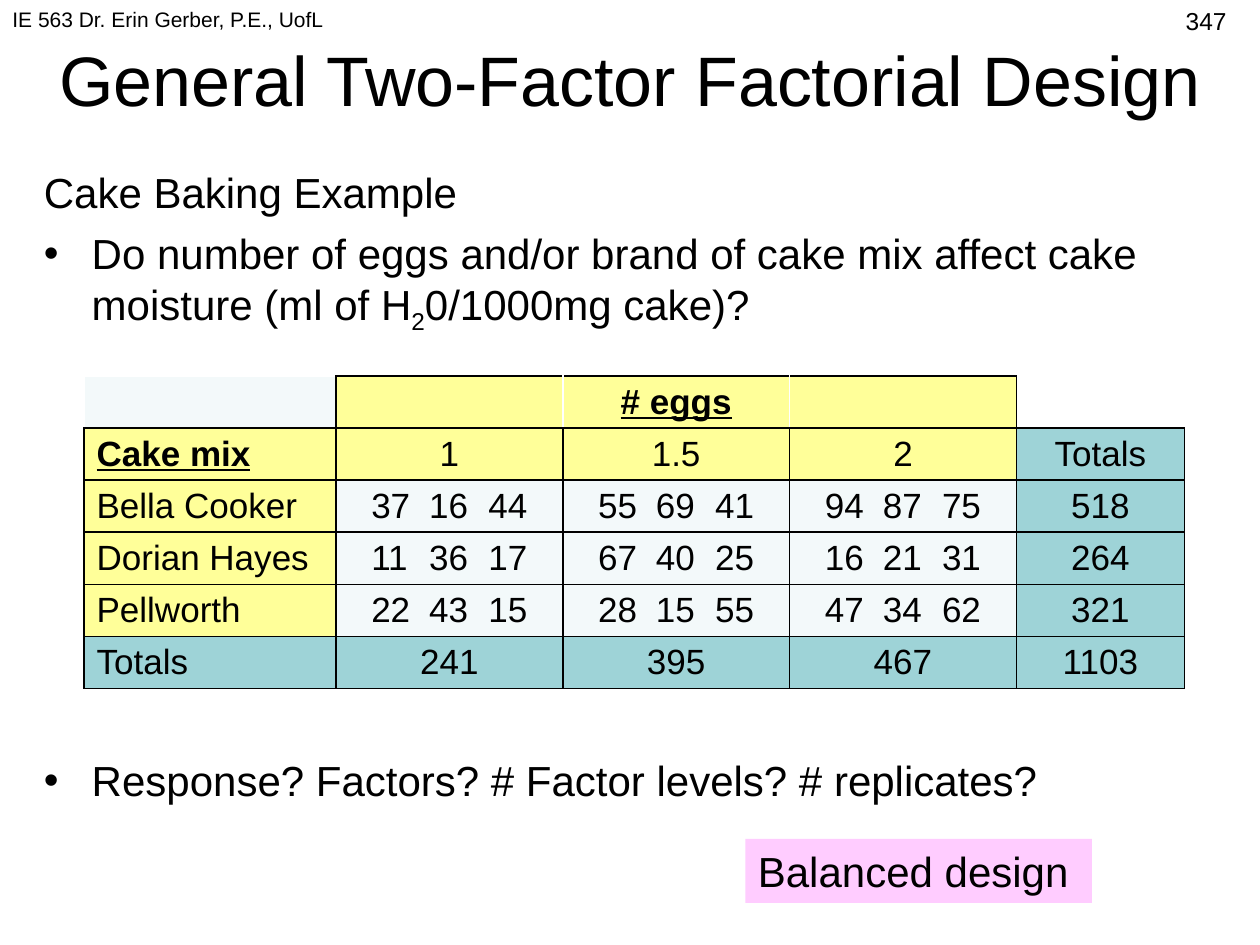
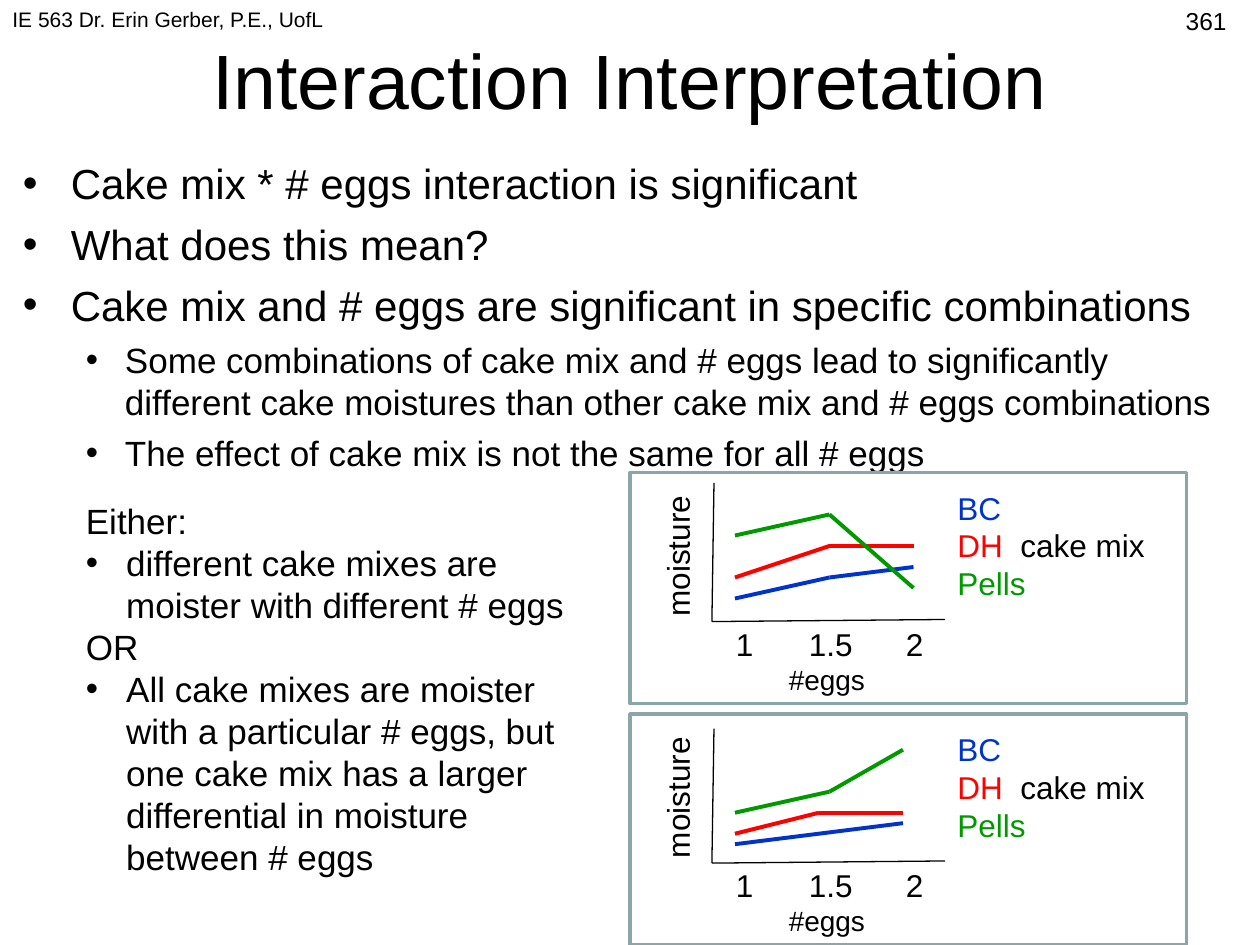
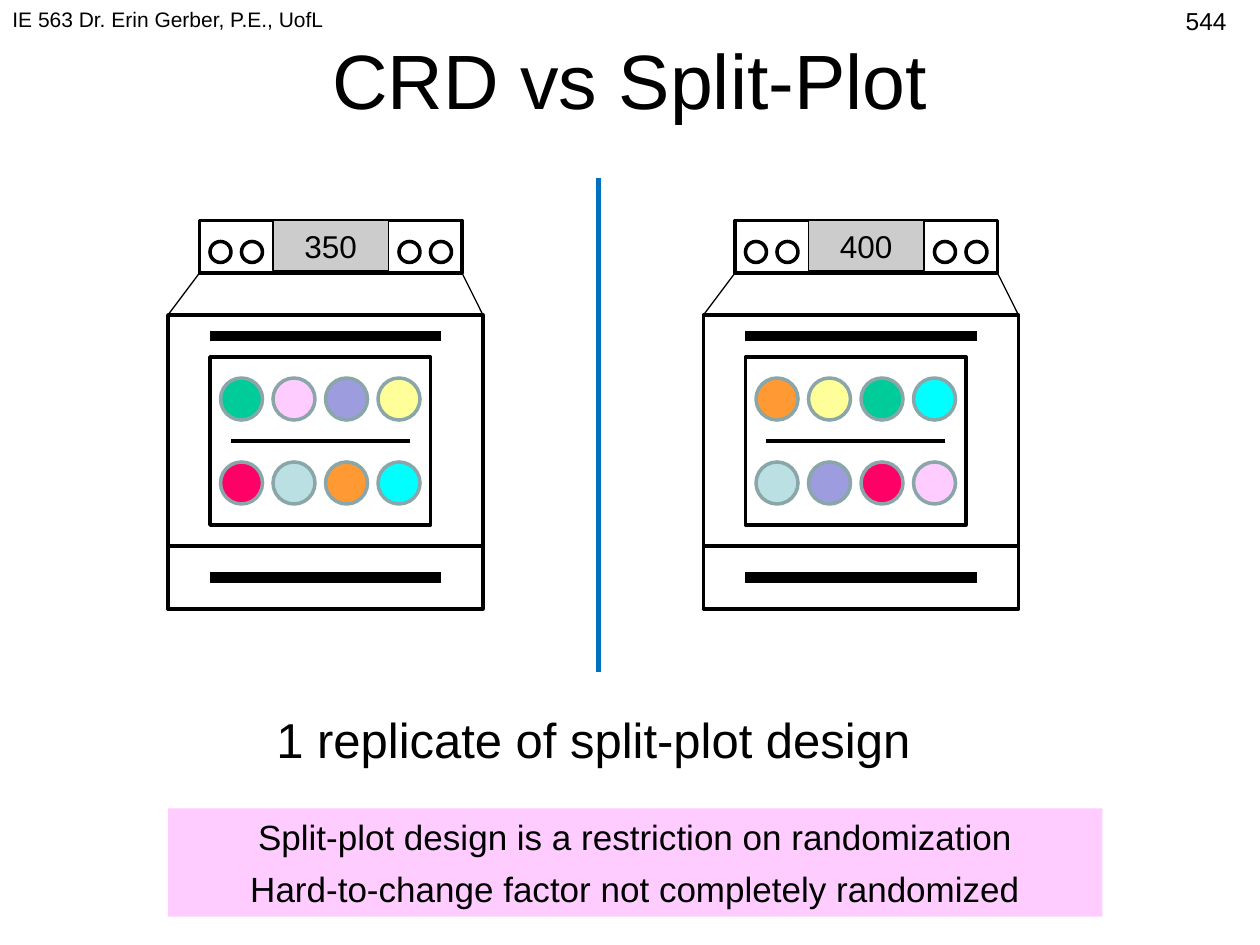
from dataclasses import dataclass
from lxml import etree
from pptx import Presentation
from pptx import util as u
from pptx.dml.color import RGBColor
from pptx.enum import shapes, text
from pptx.oxml.ns import qn


@dataclass(frozen=True)
class Theme:
    font: str = "Arial"
    black: str = "000000"
    white: str = "FFFFFF"
    outline: str = "8AA6A8"
    pink: str = "FFCCFF"
    yellow: str = "FFFF99"
    teal: str = "9ED3D7"
    pale: str = "F3F9FA"
    gray: str = "CCCCCC"
    divider: str = "0070C0"
    blue: str = "0033CC"
    red: str = "FF0000"
    green: str = "009900"
    mint: str = "00CC99"
    lilac: str = "9C9CDF"
    rose: str = "FF0066"
    sky: str = "BBE0E3"
    orange: str = "FF9933"
    cyan: str = "00FFFF"
    title: int = 44
    caption: int = 28
    body: int = 24
    detail: int = 20
    label: int = 18
    axis: int = 16
    page: int = 14
    header: int = 12


T = Theme()
RECT, OVAL = shapes.MSO_SHAPE.RECTANGLE, shapes.MSO_SHAPE.OVAL
LEFT, CENTER, RIGHT = text.PP_ALIGN.LEFT, text.PP_ALIGN.CENTER, text.PP_ALIGN.RIGHT
BODY_INDENTS = ((0.38, 0.38), (0.81, 0.31))

deck = Presentation()
deck.slide_width, deck.slide_height = u.Inches(10), u.Inches(7.5)
CELL = deck.slide_width / 120


def add(slide, kind, x, y, w, h, fill=None, line=None, weight=2):
    area = [round(v * CELL) for v in (x, y, w, h)]
    if kind is None:
        return slide.shapes.add_textbox(*area)
    shape = slide.shapes.add_shape(kind, *area)
    shape.shadow.inherit = False
    if fill:
        shape.fill.solid()
        shape.fill.fore_color.rgb = RGBColor.from_string(fill)
    else:
        shape.fill.background()
    if line:
        shape.line.color.rgb = RGBColor.from_string(line)
        shape.line.width = u.Pt(weight)
    else:
        shape.line.fill.background()
    return shape


def write(frame, lines, size, align=LEFT, gap=0, indents=(), tabs=()):
    frame.word_wrap = True
    for i, line in enumerate(lines):
        p = frame.paragraphs[0] if i == 0 else frame.add_paragraph()
        wording = line.lstrip("•")
        level = len(line) - len(wording)
        props = p._p.get_or_add_pPr()
        if level:
            margin, hang = indents[level - 1]
            props.set("marL", str(u.Inches(margin)))
            props.set("indent", str(-u.Inches(hang)))
            etree.SubElement(props, qn("a:buFont")).set("typeface", T.font)
            etree.SubElement(props, qn("a:buChar")).set("char", "•")
        if tabs:
            stops = etree.SubElement(props, qn("a:tabLst"))
            for stop in tabs:
                tab = etree.SubElement(stops, qn("a:tab"))
                tab.set("pos", str(u.Inches(stop)))
                tab.set("algn", "l")
        p.alignment = align
        if i and gap:
            p.space_before = u.Pt(gap)
        for part in filter(None, wording.split("|")):
            run = p.add_run()
            run.text = part
            run.font.name, run.font.size = T.font, u.Pt(size)
            run.font.color.rgb = RGBColor.from_string(T.black)
    return frame.paragraphs


pages = []
for heading, number, size, left in (
    ("General Two-Factor Factorial Design", "347", 40, 3),
    ("Interaction Interpretation", "361", T.title, 6),
    ("CRD vs Split-Plot", "544", T.title, 6),
):
    slide = deck.slides.add_slide(deck.slide_layouts[5])
    title = slide.shapes.title
    title.left, title.top = round(left * CELL), 0
    title.width, title.height = round((120 - 2 * left) * CELL), round(15 * CELL)
    title.text_frame.vertical_anchor = text.MSO_ANCHOR.MIDDLE
    write(title.text_frame, [heading], size, CENTER)
    write(add(slide, None, 0, 0, 50, 6.2).text_frame,
          ["IE 563 Dr. Erin Gerber, P.E., UofL"], T.header)
    write(add(slide, None, 90, 0, 28, 6.2).text_frame, [number], T.page, RIGHT)
    pages.append(slide)
factorial, interaction, split_plot = pages
strokes = []

question = write(add(factorial, None, 3, 15.3, 114, 18).text_frame, [
    "Cake Baking Example",
    "•Do number of eggs and/or brand of cake mix affect cake "
    "moisture (ml of H|2|0/1000mg cake)?",
], T.body, gap=6, indents=BODY_INDENTS)
question[1].runs[1]._r.get_or_add_rPr().set("baseline", "-25000")
write(add(factorial, None, 3, 71.3, 114, 6).text_frame,
      ["•Response? Factors? # Factor levels? # replicates?"],
      T.body, indents=BODY_INDENTS)

moisture = [
    ["", "", "# eggs", "", ""],
    ["Cake mix", "1", "1.5", "2", "Totals"],
    ["Bella Cooker", "37\t16\t44", "55\t69\t41", "94\t87\t75", "518"],
    ["Dorian Hayes", "11\t36\t17", "67\t40\t25", "16\t21\t31", "264"],
    ["Pellworth", "22\t43\t15", "28\t15\t55", "47\t34\t62", "321"],
    ["Totals", "241", "395", "467", "1103"],
]
widths, row_height = (24, 21.6, 21.6, 21.6, 16), 4.94
header_edges = ("RB", "LTB", "TB", "TRB", "LB")
grid = factorial.shapes.add_table(
    6, 5, round(8 * CELL), round(35.8 * CELL),
    round(sum(widths) * CELL), round(6 * row_height * CELL)).table
grid.first_row = grid.horz_banding = False
for column, width in zip(grid.columns, widths):
    column.width = round(width * CELL)
for r, values in enumerate(moisture):
    grid.rows[r].height = round(row_height * CELL)
    for c, value in enumerate(values):
        cell = grid.cell(r, c)
        cell.vertical_anchor = text.MSO_ANCHOR.MIDDLE
        cell.margin_top = cell.margin_bottom = u.Inches(0.04)
        replicates = "\t" in value
        if replicates:
            cell.margin_left = u.Inches(0.28)
        p = write(cell.text_frame, [value], T.detail,
                  LEFT if c == 0 or replicates else CENTER,
                  tabs=(0.46, 0.93) if replicates else ())[0]
        if value in ("# eggs", "Cake mix"):
            p.runs[0].font.bold = p.runs[0].font.underline = True
        for side in "LRTB":
            edge = etree.SubElement(cell._tc.get_or_add_tcPr(), qn("a:ln" + side))
            edge.set("w", str(u.Pt(1)))
            paint = etree.SubElement(edge, qn("a:solidFill"))
            dark = r > 0 or side in header_edges[c]
            etree.SubElement(paint, qn("a:srgbClr")).set("val", T.black if dark else T.white)
        if (r, c) == (0, 4):
            cell.fill.background()
            continue
        cell.fill.solid()
        if r == 5 or c == 4:
            color = T.teal
        elif (r, c) != (0, 0) and (r < 2 or c == 0):
            color = T.yellow
        else:
            color = T.pale
        cell.fill.fore_color.rgb = RGBColor.from_string(color)
write(add(factorial, RECT, 71, 79.9, 33, 6.1, T.pink).text_frame, ["Balanced design"], T.body)

points = write(add(interaction, None, 1, 14.4, 117, 38).text_frame, [
    "•Cake mix * # eggs interaction is significant",
    "•What does this mean?",
    "•Cake mix and # eggs are significant in specific combinations",
    "••Some combinations of cake mix and # eggs lead to significantly "
    "different cake moistures than other cake mix and # eggs combinations",
    "••The effect of cake mix is not the same for all # eggs",
], T.body, gap=6, indents=BODY_INDENTS)
for p in points[3:]:
    p.space_before = u.Pt(5)
    p.runs[0].font.size = u.Pt(T.detail)
write(add(interaction, None, 7, 47, 49, 41.2).text_frame, [
    "Either:",
    "•different cake mixes are moister with different # eggs",
    "OR",
    "•All cake mixes are moister with a particular # eggs, but one cake mix "
    "has a larger differential in moisture between # eggs",
], T.detail, indents=((0.32, 0.32),))

crossing = (
    (T.blue, (70, 57), (79, 55), (87, 54)),
    (T.red, (70, 55), (79, 52), (87, 52)),
    (T.green, (70, 51), (79, 49), (87, 56)),
)
spreading = (
    (T.blue, (70, 80.4), (78, 79.4), (86, 78.4)),
    (T.red, (70, 79.4), (78, 77.4), (86, 77.4)),
    (T.green, (70, 77.4), (79, 75.4), (86, 71.4)),
)
for top, axis_top, series in ((45, 46, crossing), (68, 69.4, spreading)):
    add(interaction, RECT, 60, top, 53, 22, line=T.outline)
    origin = (67.8, top + 14.2)
    strokes.append((interaction, (68, axis_top), origin, T.black, 0.75))
    strokes.append((interaction, (90, top + 14), origin, T.black, 0.75))
    for color, *marks in series:
        for start, end in zip(marks, marks[1:]):
            strokes.append((interaction, start, end, color, 2.25))
    eggs = write(add(interaction, None, 68.9, top + 13.9, 23.2, 8).text_frame,
                 ["1\t1.5\t2", "\t#eggs"], T.label, tabs=(0.58, 1.35))
    eggs[1].runs[0].text = "#eggs"
    eggs[1].runs[0].font.size = u.Pt(T.axis)
    eggs[1]._p.get_or_add_pPr().set("marL", str(u.Inches(0.42)))
    eggs[1]._p.get_or_add_pPr().set("indent", "0")
    legend = write(add(interaction, None, 90, top + 0.95, 21, 12.1).text_frame,
                   ["BC", "DH|\tcake mix", "Pells"], T.label, tabs=(0.5,))
    for p, color in zip(legend, (T.blue, T.red, T.green)):
        p.runs[0].font.color.rgb = RGBColor.from_string(color)
    response = add(interaction, None, 57.5, top + 5.5, 14, 4.8)
    response.rotation = 270
    write(response.text_frame, ["moisture"], T.label)

ovens = (
    (16, "350", ((T.mint, T.pink, T.lilac, T.yellow), (T.rose, T.sky, T.orange, T.cyan))),
    (67, "400", ((T.orange, T.yellow, T.mint, T.cyan), (T.sky, T.lilac, T.rose, T.pink))),
)
for left, degrees, racks in ovens:
    for x, y, w, h in ((0, 30, 30, 22), (4, 34, 21, 16), (0, 52, 30, 6), (3, 21, 25, 5)):
        add(split_plot, RECT, left + x, y, w, h, T.white, T.black)
    for knob in (4, 7, 22, 25):
        add(split_plot, OVAL, left + knob, 23, 2, 2, T.white, T.black)
    for rack, cakes in enumerate(racks):
        for place, color in enumerate(cakes):
            add(split_plot, OVAL, left + 5 + 5 * place, 36 + 8 * rack, 4, 4, color, T.outline)
    display = add(split_plot, RECT, left + 10, 21, 11, 4.8, T.gray, T.black, 0.75)
    write(display.text_frame, [degrees], T.label, CENTER)
    for x1, y1, x2, y2, weight in (
        (4, 32, 26, 32, 6), (4, 55, 26, 55, 6),
        (0, 30, 3, 26, 0.75), (30, 30, 28, 26, 0.75),
        (6, 42, 23, 42, 2.25), (6, 50, 23, 50, 2.25),
    ):
        strokes.append((split_plot, (left + x1, y1), (left + x2, y2), T.black, weight))
strokes.append((split_plot, (57, 17), (57, 64), T.divider, 3))
write(add(split_plot, None, 20, 67, 73, 6.8).text_frame,
      ["1 replicate of split-plot design"], T.caption, CENTER)
write(add(split_plot, RECT, 16, 77, 89, 10.3, T.pink).text_frame, [
    "Split-plot design is a restriction on randomization",
    "Hard-to-change factor not completely randomized",
], T.detail, CENTER, gap=6)

for slide, start, end, color, weight in strokes:
    stroke = slide.shapes.add_connector(
        shapes.MSO_CONNECTOR.STRAIGHT, *[round(v * CELL) for v in start + end])
    stroke.line.color.rgb = RGBColor.from_string(color)
    stroke.line.width = u.Pt(weight)
    etree.SubElement(stroke._element.spPr, qn("a:effectLst"))

deck.save("out.pptx")
